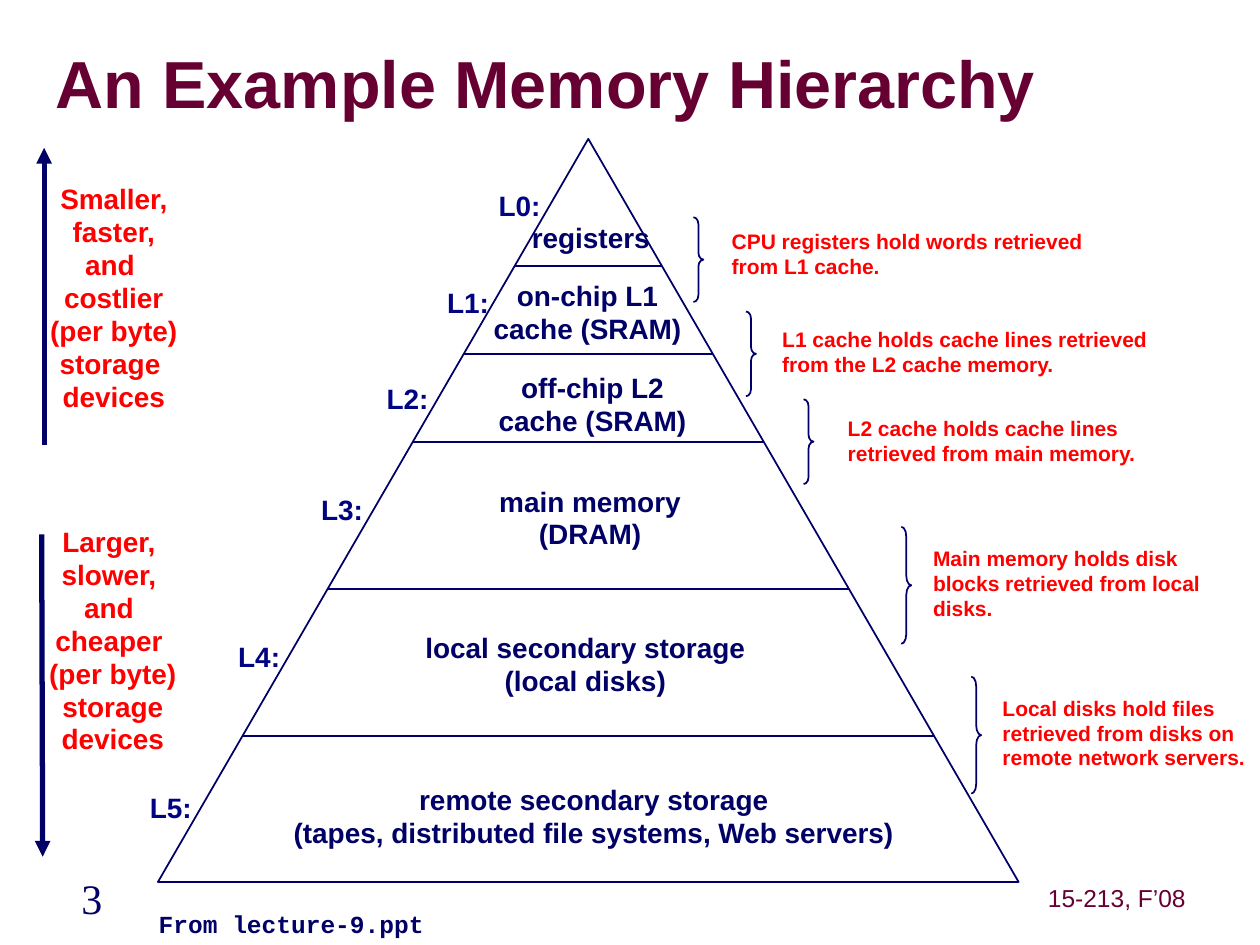
from dataclasses import dataclass

from lxml.etree import SubElement
from pptx import Presentation
from pptx.dml.color import RGBColor
from pptx.enum.shapes import MSO_CONNECTOR, MSO_SHAPE
from pptx.enum.text import MSO_ANCHOR, MSO_AUTO_SIZE, PP_ALIGN
from pptx.oxml.ns import qn
from pptx.util import Cm, Pt


@dataclass(frozen=True)
class Theme:
    """Colours, fonts and type sizes of the slide."""
    navy: str = "000066"
    blue: str = "000482"
    red: str = "FF0000"
    plum: str = "660033"
    sans: str = "Arial"
    serif: str = "Times New Roman"
    mono: str = "Courier New"
    head: int = 38
    page: int = 24
    body: int = 16
    foot: int = 14
    note: int = 12


THEME = Theme()
PEAK, TOP, BASE, TALL = 11.86, 2.8, 17.35, 14.98
CUTS = (5.36, 7.14, 8.91, 11.87, 14.83)
TIERS = (
    ("L0:", 9.8, 3.71, ["registers"], 10.31, 4.36, 3.2),
    ("L1:", 8.76, 5.67, ["on-chip L1", "cache (SRAM)"], 9.7, 5.52, 4.29),
    ("L2:", 7.54, 7.61, ["off-chip L2", "cache (SRAM)"], 9.8, 7.38, 4.29),
    ("L3:", 6.22, 9.84, ["main memory", "(DRAM)"], 9.81, 9.67, 4.17),
    ("L4:", 4.55, 12.8, ["local secondary storage", "(local disks)"],
     8.32, 12.62, 6.96),
    ("L5:", 2.77, 15.85, ["remote secondary storage",
                          "(tapes, distributed file systems, Web servers)"],
     5.67, 15.69, 12.6),
)
NOTES = (
    (13.98, 4.38, 1.71, 14.5, 4.52, 8.1,
     ["CPU registers hold words retrieved from L1 cache."]),
    (15.04, 6.28, 1.71, 15.52, 6.49, 7.87,
     ["L1 cache holds cache lines retrieved from the L2 cache memory."]),
    (16.2, 8.05, 1.71, 16.84, 8.29, 7.29,
     ["L2 cache holds cache lines retrieved from main memory."]),
    (18.17, 10.62, 2.36, 18.56, 10.9, 6.8,
     ["Main memory holds disk", "blocks retrieved from local", "disks."]),
    (19.58, 13.64, 2.36, 19.96, 13.92, 5.74,
     ["Local disks hold files retrieved from disks on remote network servers."]),
)
SIDES = (
    (0.76, 3.57, ["Smaller,", "faster,", "and ", "costlier", "(per byte)",
                  "storage ", "devices"], (0.89, 8.97, 0.89, 2.98)),
    (0.74, 10.48, ["Larger, ", "slower, ", "and ", "cheaper ", "(per byte)",
                   "storage", "devices"], (0.84, 10.77, 0.86, 17.27)),
)


def fill_text(frame, lines, size, tint, face=THEME.sans, bold=True,
              align=PP_ALIGN.CENTER, space=0.98):
    """Write each line as one paragraph with a single run."""
    for i, line in enumerate(lines):
        para = frame.add_paragraph() if i else frame.paragraphs[0]
        para.alignment = align
        para.line_spacing = space
        run = para.add_run()
        run.text = line
        run.font.name = face
        run.font.size = Pt(size)
        run.font.bold = bold
        run.font.color.rgb = RGBColor.from_string(tint)


def add_text(slide, place, lines, size, tint, wrap=False,
             anchor=MSO_ANCHOR.MIDDLE, inset=0.25, **style):
    """Add a text box that grows with its text."""
    frame = slide.shapes.add_textbox(*map(Cm, place)).text_frame
    frame.word_wrap = wrap
    frame.auto_size = MSO_AUTO_SIZE.SHAPE_TO_FIT_TEXT
    frame.vertical_anchor = anchor
    frame.margin_left = frame.margin_right = Cm(inset)
    frame.margin_top = frame.margin_bottom = Cm(0.13)
    fill_text(frame, lines, size, tint, **style)


def add_line(slide, ends, width=1, arrow=False):
    """Add a straight line, with an arrowhead at its end on request."""
    line = slide.shapes.add_connector(MSO_CONNECTOR.STRAIGHT, *map(Cm, ends))
    line.line.color.rgb = RGBColor.from_string(THEME.navy)
    line.line.width = Pt(width)
    props = line.element.spPr
    if arrow:
        SubElement(props.find(qn("a:ln")), qn("a:tailEnd"), type="triangle")
    SubElement(props, qn("a:effectLst"))


def add_form(slide, kind, place):
    """Add an unfilled preset shape with a thin outline."""
    form = slide.shapes.add_shape(kind, *map(Cm, place))
    form.shadow.inherit = False
    form.fill.background()
    form.line.color.rgb = RGBColor.from_string(THEME.navy)
    form.line.width = Pt(1)
    return form


def add_title(slide):
    """Place and fill the title."""
    title = slide.shapes.title
    title.left, title.top, title.width, title.height = map(
        Cm, (1.12, 0.69, 24.21, 2.18))
    frame = title.text_frame
    frame.auto_size = MSO_AUTO_SIZE.NONE
    frame.vertical_anchor = MSO_ANCHOR.MIDDLE
    frame.margin_left = frame.margin_right = 0
    frame.margin_top = frame.margin_bottom = 0
    fill_text(frame, ["An Example Memory Hierarchy"], THEME.head, THEME.plum,
              align=PP_ALIGN.LEFT, space=0.85)


def add_tiers(slide):
    """Draw the pyramid, its dividers and the text of each level."""
    add_form(slide, MSO_SHAPE.ISOSCELES_TRIANGLE,
             (PEAK - BASE / 2, TOP, BASE, TALL))
    for y in CUTS:
        half = (y - TOP) / TALL * BASE / 2
        add_line(slide, (PEAK - half, y, PEAK + half, y))
    for tag, x, y, lines, left, top, width in TIERS:
        add_text(slide, (x, y, 1.35, 0.91), [tag], THEME.body, THEME.blue)
        tall = 0.91 if len(lines) == 1 else 1.57
        add_text(slide, (left, top, width, tall), lines, THEME.body, THEME.navy)


def add_notes(slide):
    """Add a brace and a remark beside each pair of levels."""
    for x, y, tall, left, top, width, lines in NOTES:
        brace = add_form(slide, MSO_SHAPE.RIGHT_BRACE, (x, y, 0.2, tall))
        brace.adjustments[0] = tall / 12 / 0.2
        high = 1.24 if tall < 2 else 1.75
        add_text(slide, (left, top, width, high), lines, THEME.note, THEME.red,
                 wrap=True, align=PP_ALIGN.LEFT)


def add_sides(slide):
    """Add the two arrows at the left with their trends."""
    for x, y, lines, ends in SIDES:
        add_line(slide, ends, 3, True)
        add_text(slide, (x, y, 3.07, 4.9), lines, THEME.body, THEME.red)


def add_foot(slide):
    """Add the page number, the course and the source."""
    add_text(slide, (0, 17.63, 3.7, 1.09), ["3"], THEME.page, THEME.navy,
             inset=0.13, face=THEME.serif, bold=False, space=0.83)
    add_text(slide, (20.95, 17.75, 3.13, 0.79), ["15-213, F’08"], THEME.foot,
             THEME.plum, inset=0.13, bold=False, space=0.88)
    add_text(slide, (2.95, 18.24, 6.1, 0.81), ["From lecture-9.ppt"],
             THEME.foot, THEME.navy, anchor=MSO_ANCHOR.TOP, face=THEME.mono,
             align=PP_ALIGN.LEFT, space=0.94)


def main():
    """Build and save the slide."""
    deck = Presentation()
    deck.slide_width, deck.slide_height = Cm(25.4), Cm(19.05)
    slide = deck.slides.add_slide(deck.slide_layouts[5])
    add_title(slide)
    add_tiers(slide)
    add_notes(slide)
    add_sides(slide)
    add_foot(slide)
    deck.save("out.pptx")


if __name__ == "__main__":
    main()
